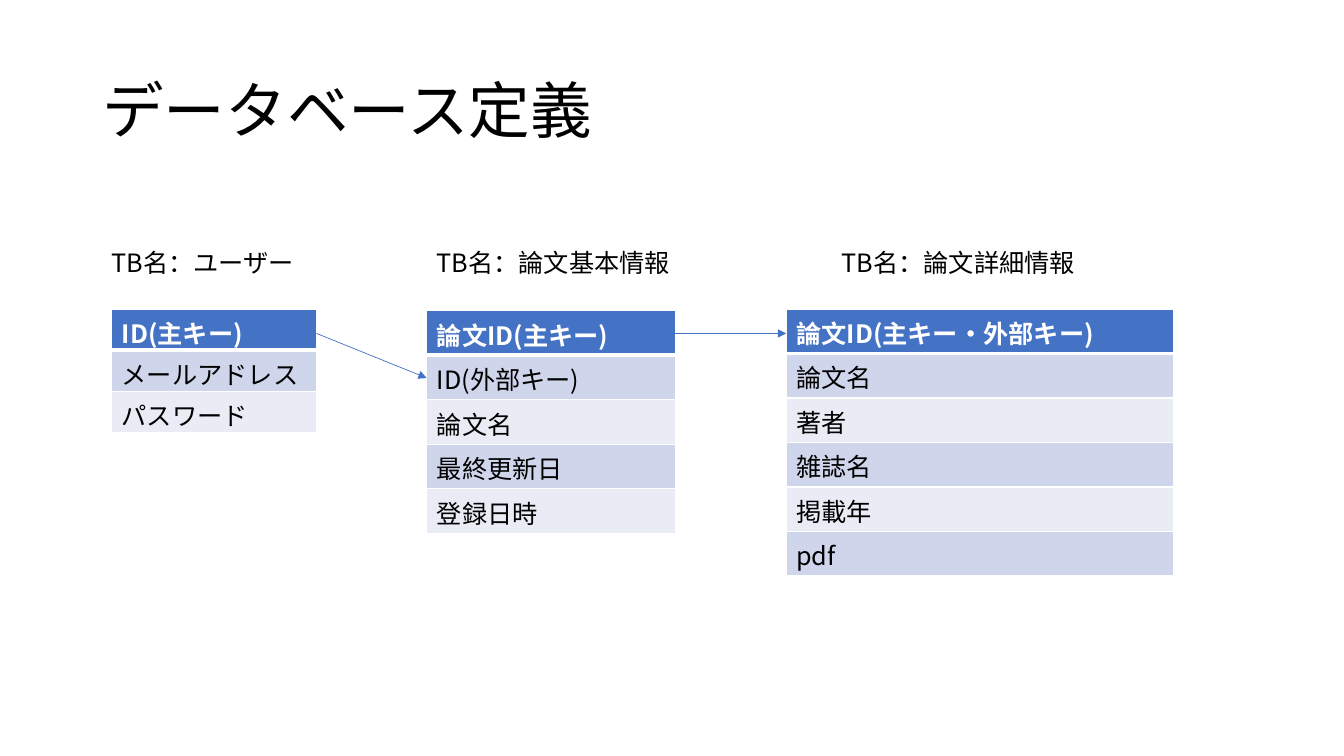
from lxml.etree import SubElement as Sub
from pptx import Presentation
from pptx.dml.color import RGBColor
from pptx.enum.shapes import MSO_CONNECTOR as Link
from pptx.enum.text import MSO_ANCHOR as Anchor
from pptx.oxml.ns import qn
from pptx.util import Inches, Pt

FONT = "Noto Sans CJK JP"
BLACK = RGBColor(0x00, 0x00, 0x00)
WHITE = RGBColor(0xFF, 0xFF, 0xFF)
BLUE = RGBColor(0x44, 0x72, 0xC4)
BANDS = [RGBColor(0xE9, 0xEB, 0xF5), RGBColor(0xCF, 0xD5, 0xEA)]

deck = Presentation()
deck.slide_width, deck.slide_height = Inches(13.33), Inches(7.5)
slide = deck.slides.add_slide(deck.slide_layouts[6])
shapes = slide.shapes

# Grid of 160 columns by 90 rows
COL = deck.slide_width / 160
ROW = deck.slide_height / 90


def box(x, y, w, h):
    return int(x * COL), int(y * ROW), int(w * COL), int(h * ROW)


def write(frame, text, size=18, color=BLACK, bold=False):
    part = frame.paragraphs[0].add_run()
    part.text = text
    look = {"name": FONT, "size": Pt(size), "bold": bold}
    for key, value in look.items():
        setattr(part.font, key, value)
    part.font.color.rgb = color
    Sub(part.font._element, qn("a:ea"), typeface=FONT)


# Title
title = shapes.add_textbox(*box(11, 4.8, 138, 17.4)).text_frame
title.word_wrap = True
title.vertical_anchor = Anchor.MIDDLE
title.paragraphs[0].line_spacing = 0.9
write(title, "データベース定義", 44)

# Tables: left, top, width, row height, fields
TABLES = [
    (13.3, 36.8, 24.4, 4.9, ["ID(主キー)", "メールアドレス", "パスワード"]),
    (50.8, 37, 29.6, 5.3,
     ["論文ID(主キー)", "ID(外部キー)", "論文名", "最終更新日", "登録日時"]),
    (93.6, 36.8, 46.1, 5.3,
     ["論文ID(主キー・外部キー)", "論文名", "著者", "雑誌名", "掲載年", "pdf"]),
]
for x, y, w, step, fields in TABLES:
    count = len(fields)
    table = shapes.add_table(count, 1, *box(x, y, w, step * count)).table
    for i, field in enumerate(fields):
        cell = table.cell(i, 0)
        head = i == 0
        write(cell.text_frame, field, color=WHITE if head else BLACK, bold=head)
        # White borders, thick between the header and the body
        thick = {"L": 1, "R": 1, "T": 3 if i == 1 else 1, "B": 3 if head else 1}
        props = cell._tc.get_or_add_tcPr()
        for side, width in thick.items():
            edge = Sub(props, qn(f"a:ln{side}"), w=str(Pt(width)))
            Sub(Sub(edge, qn("a:solidFill")), qn("a:srgbClr"), val=str(WHITE))
        cell.fill.solid()
        cell.fill.fore_color.rgb = BLUE if head else BANDS[i % 2]

# Arrows from primary key to foreign key
for x1, y1, x2, y2 in [(37.7, 39.7, 50.8, 45), (80, 39.7, 93.6, 39.7)]:
    ends = box(x1, y1, x2, y2)
    arrow = shapes.add_connector(Link.STRAIGHT, *ends)
    arrow.line.color.rgb = BLUE
    arrow.line.width = Pt(0.5)
    Sub(arrow.line._get_or_add_ln(), qn("a:tailEnd"), type="triangle")
    Sub(arrow._element.spPr, qn("a:effectLst"))

# Table names
NAMES = [(12.1, 25.6, "ユーザー"), (50.8, 32.3, "論文基本情報"),
         (99, 32.3, "論文詳細情報")]
for x, w, name in NAMES:
    label = shapes.add_textbox(*box(x, 28.8, w, 4.8)).text_frame
    label.word_wrap = True
    write(label, f"TB名：{name}")

deck.save("out.pptx")
